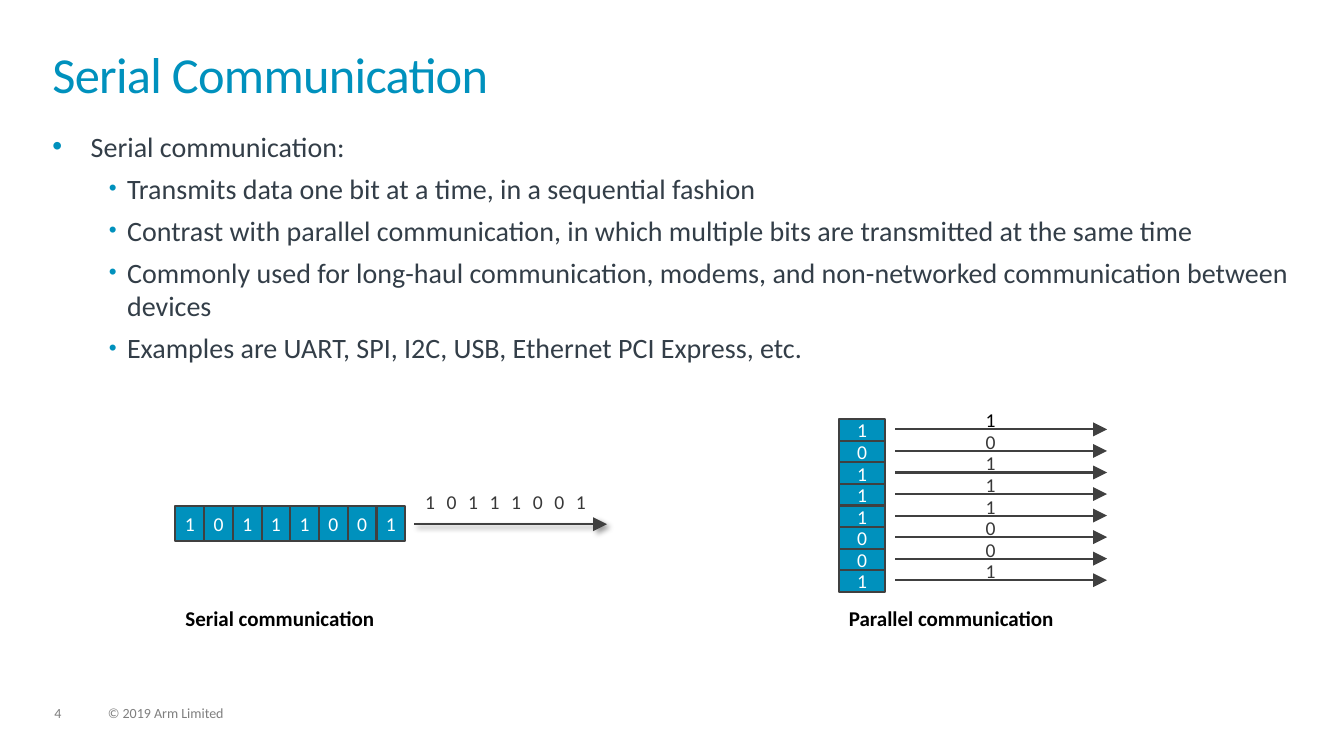
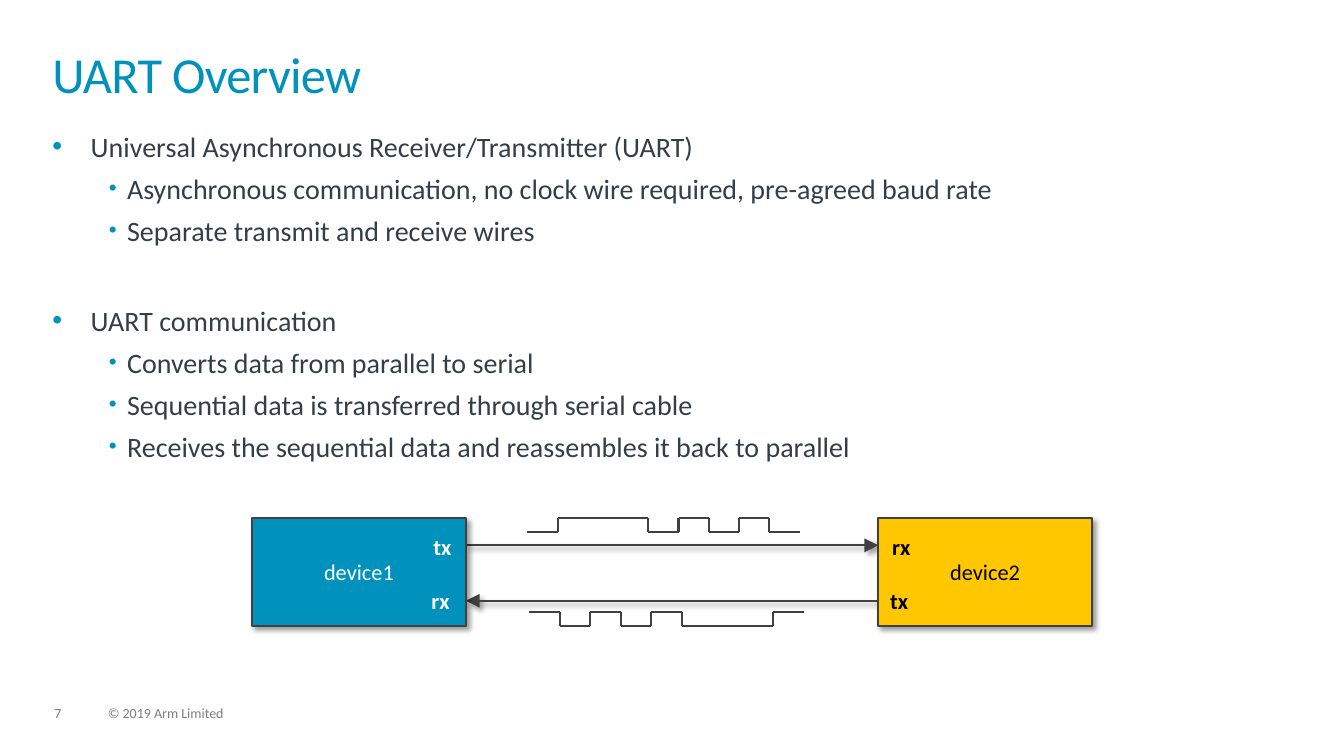
from itertools import groupby

from lxml.etree import SubElement
from pptx import Presentation
from pptx.dml.color import RGBColor
from pptx.enum.shapes import MSO_CONNECTOR, MSO_SHAPE
from pptx.enum.text import MSO_ANCHOR, MSO_AUTO_SIZE, PP_ALIGN
from pptx.oxml.ns import qn
from pptx.util import Pt

EMU_PER_PX = 9144  # 100 px to the inch
FONT = "Calibri"
BLUE = RGBColor(0x00, 0x91, 0xBD)
YELLOW = RGBColor(0xFF, 0xC7, 0x00)
SLATE = RGBColor(0x33, 0x3E, 0x48)
OUTLINE = RGBColor(0x40, 0x40, 0x40)
CHARCOAL = RGBColor(0x38, 0x38, 0x38)
GRAY = RGBColor(0x7F, 0x7F, 0x7F)
BLACK = RGBColor(0, 0, 0)
WHITE = RGBColor(0xFF, 0xFF, 0xFF)

BITS = "10111001"
SPACE_BEFORE = 6
SECTION_SPACE = 40.5
# Level: left margin, hanging indent (px), bullet size (percent)
BULLET_LEVELS = ((38, 38, 100), (74, 18, 80))

SERIAL_BULLETS = (
    (0, "Serial communication:", 0),
    (1, "Transmits data one bit at a time, in a sequential fashion", SPACE_BEFORE),
    (1, "Contrast with parallel communication, in which multiple bits are "
        "transmitted at the same time", SPACE_BEFORE),
    (1, "Commonly used for long-haul communication, modems, and non-networked "
        "communication between devices", SPACE_BEFORE),
    (1, "Examples are UART, SPI, I2C, USB, Ethernet PCI Express, etc.", SPACE_BEFORE),
)
UART_BULLETS = (
    (0, "Universal Asynchronous Receiver/Transmitter (UART)", 0),
    (1, "Asynchronous communication, no clock wire required, pre-agreed baud rate",
     SPACE_BEFORE),
    (1, "Separate transmit and receive wires", SPACE_BEFORE),
    (0, "UART communication", SECTION_SPACE),
    (1, "Converts data from parallel to serial", SPACE_BEFORE),
    (1, "Sequential data is transferred through serial cable", SPACE_BEFORE),
    (1, "Receives the sequential data and reassembles it back to parallel", SPACE_BEFORE),
)


def px(*lengths):
    """Turn px lengths into a list of EMU."""
    return [round(length * EMU_PER_PX) for length in lengths]


def add_run(paragraph, text, size, color, bold=False):
    run = paragraph.add_run()
    run.text = text
    run.font.name = FONT
    run.font.size = Pt(size)
    run.font.bold = bold
    run.font.color.rgb = color
    return run


def clear_insets(frame):
    frame.margin_left = frame.margin_top = frame.margin_right = frame.margin_bottom = 0


def center_text(frame, text, size, color):
    clear_insets(frame)
    frame.word_wrap = False
    frame.vertical_anchor = MSO_ANCHOR.MIDDLE
    frame.paragraphs[0].alignment = PP_ALIGN.CENTER
    add_run(frame.paragraphs[0], text, size, color)


def set_effects(shape, shadow):
    """Replace inherited effects by a soft shadow or by none."""
    properties = shape._element.spPr
    for effects in properties.findall(qn("a:effectLst")):
        properties.remove(effects)
    effects = SubElement(properties, qn("a:effectLst"))
    if shadow:
        outer = SubElement(effects, qn("a:outerShdw"), blurRad=str(Pt(4)),
                           dist=str(Pt(3)), dir="2700000", algn="tl", rotWithShape="0")
        color = SubElement(outer, qn("a:srgbClr"), val=str(BLACK))
        SubElement(color, qn("a:alpha"), val="40000")


def style_line(line):
    line.color.rgb = OUTLINE
    line.width = Pt(1.5)


def add_line(shapes, start_x, start_y, end_x, end_y, shadow=False):
    connector = shapes.add_connector(MSO_CONNECTOR.STRAIGHT,
                                     *px(start_x, start_y, end_x, end_y))
    style_line(connector.line)
    set_effects(connector, shadow)
    return connector


def add_arrow(shapes, start, end, y, shadow=False):
    arrow = add_line(shapes, start, y, end, y, shadow)
    SubElement(arrow.line._get_or_add_ln(), qn("a:tailEnd"),
               type="triangle", w="lg", len="lg")


def add_box(shapes, box, text, size, fill=BLUE, color=WHITE, shadow=False):
    rectangle = shapes.add_shape(MSO_SHAPE.RECTANGLE, *px(*box))
    rectangle.fill.solid()
    rectangle.fill.fore_color.rgb = fill
    style_line(rectangle.line)
    set_effects(rectangle, shadow)
    center_text(rectangle.text_frame, text, size, color)


def add_bit_label(shapes, box, bit, color=CHARCOAL):
    center_text(shapes.add_textbox(*px(*box)).text_frame, bit, 14, color)


def add_label(shapes, box, text, size, color=BLACK, bold=True):
    label = shapes.add_textbox(*px(*box))
    label.text_frame.word_wrap = True
    add_run(label.text_frame.paragraphs[0], text, size, color, bold)
    return label


def add_footer(slide, number):
    for left, width, text in ((54, 34, number), (107, 507, "© 2019 Arm Limited")):
        footer = add_label(slide.shapes, (left, 701, width, 15), text, 10, GRAY, False)
        clear_insets(footer.text_frame)
        footer.text_frame.paragraphs[0].line_spacing = 0.9


def format_title(title, text):
    title.left, title.top, title.width, title.height = px(52, 52, 1228, 72)
    frame = title.text_frame
    clear_insets(frame)
    frame.auto_size = MSO_AUTO_SIZE.NONE
    frame.vertical_anchor = MSO_ANCHOR.TOP
    paragraph = frame.paragraphs[0]
    paragraph.alignment = PP_ALIGN.LEFT
    paragraph.line_spacing = 0.85
    run = add_run(paragraph, text, 36, BLUE)
    run.font._element.set("spc", "-50")


def add_bullet(paragraph, level):
    margin, hanging, percent = BULLET_LEVELS[level]
    paragraph.level = level
    properties = paragraph._p.get_or_add_pPr()
    properties.set("marL", str(px(margin)[0]))
    properties.set("indent", str(px(-hanging)[0]))
    color = SubElement(properties, qn("a:buClr"))
    SubElement(color, qn("a:srgbClr"), val=str(BLUE))
    SubElement(properties, qn("a:buSzPct"), val=str(percent * 1000))
    SubElement(properties, qn("a:buFont"), typeface="Arial")
    SubElement(properties, qn("a:buChar"), char="•")


def add_bullets(slide, bullets):
    frame = slide.shapes.add_textbox(*px(52, 128, 1228, 541)).text_frame
    clear_insets(frame)
    frame.word_wrap = True
    for index, (level, text, space) in enumerate(bullets):
        paragraph = frame.add_paragraph() if index else frame.paragraphs[0]
        add_bullet(paragraph, level)
        paragraph.space_before = Pt(space)
        add_run(paragraph, text, 20, SLATE)


def add_content_slide(presentation, number, title, bullets):
    slide = presentation.slides.add_slide(presentation.slide_layouts[5])
    format_title(slide.shapes.title, title)
    add_bullets(slide, bullets)
    add_footer(slide, number)
    return slide


def add_serial_diagram(slide, left, top):
    shapes = slide.shapes.add_group_shape().shapes
    cell_width = 228 / len(BITS)
    label_pitch = 171 / len(BITS)
    for index, bit in enumerate(BITS):
        add_box(shapes, (left + index * cell_width, top + 22, cell_width, 35), bit, 14)
    add_arrow(shapes, left + 237, left + 428, top + 40, shadow=True)
    for index, bit in enumerate(BITS):
        add_bit_label(shapes, (left + 242 + index * label_pitch, top, 21, 35), bit)
    add_label(shapes, (left, top + 116, 352, 35), "Serial communication", 15)


def add_parallel_diagram(slide, left, top):
    shapes = slide.shapes.add_group_shape().shapes
    row_height = 171 / len(BITS)
    for index, bit in enumerate(BITS):
        row_top = top + index * row_height
        add_box(shapes, (left, row_top, 46, row_height), bit, 14)
        add_arrow(shapes, left + 56, left + 266, row_top + 10)
        add_bit_label(shapes, (left + 128, row_top - 10, 45, row_height), bit,
                      CHARCOAL if index else BLACK)
    add_label(shapes, (left, top + 180, 328, 35), "Parallel communication", 15)


def add_waveform(shapes, left, top, width, bits):
    """Draw a level line for each run of equal bits and an edge between runs."""
    height = 14
    bit_width = width / len(bits)
    x = left
    for bit, run in groupby(bits):
        if x > left:
            add_line(shapes, x, top + height, x, top)
        y = top if bit == "1" else top + height
        end = x + bit_width * len(list(run))
        add_line(shapes, x, y, end, y)
        x = end


def add_device(shapes, left, top, name, ports, port_offset, fill, color):
    add_box(shapes, (left, top, 212, 107), name, 16, fill, color, shadow=True)
    for index, port in enumerate(ports):
        box = (left + port_offset - 2 * index, top + 10 + 54 * index, 75, 37)
        add_label(shapes, box, port, 16, color)


def add_uart_diagram(slide, left, top):
    shapes = slide.shapes.add_group_shape().shapes
    near, far = left + 212, left + 621
    add_arrow(shapes, near, far, top + 27, shadow=True)
    add_arrow(shapes, far, near, top + 82, shadow=True)
    add_waveform(shapes, left + 273, top, 270, "011101010")
    add_waveform(shapes, left + 275, top + 93, 272, "101010001")
    add_device(shapes, left, top, "device1", ("tx", "rx"), 170, BLUE, WHITE)
    add_device(shapes, far, top, "device2", ("rx", "tx"), 4, YELLOW, BLACK)


def main():
    presentation = Presentation()
    presentation.slide_width, presentation.slide_height = px(1333, 750)

    slide = add_content_slide(presentation, "4", "Serial Communication", SERIAL_BULLETS)
    add_serial_diagram(slide, 174, 480)
    add_parallel_diagram(slide, 832, 416)

    slide = add_content_slide(presentation, "7", "UART Overview", UART_BULLETS)
    add_uart_diagram(slide, 250, 514)

    presentation.save("out.pptx")


if __name__ == "__main__":
    main()
